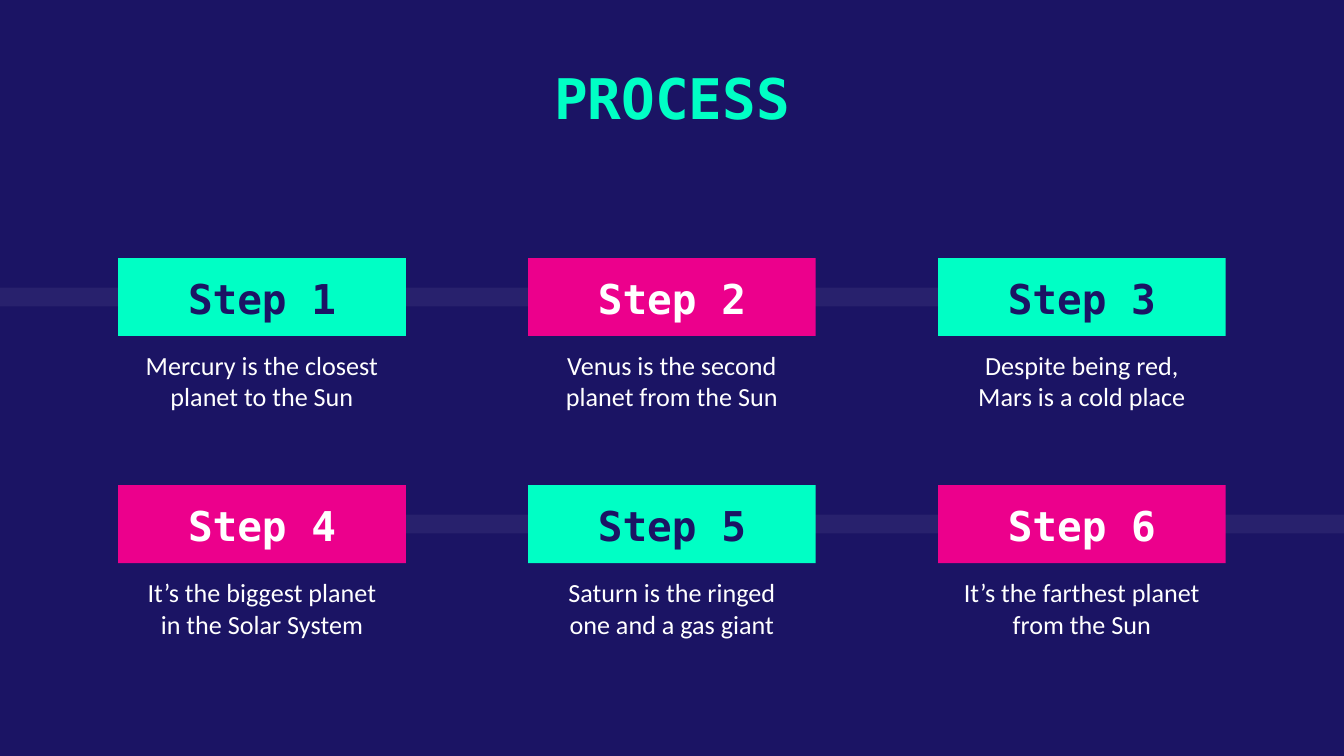
from lxml import etree
from pptx import Presentation
from pptx import util as u
from pptx.dml.color import RGBColor
from pptx.enum import shapes, text
from pptx.oxml import ns

NAVY = RGBColor(0x1B, 0x14, 0x64)
MINT = RGBColor(0x00, 0xFF, 0xC5)
PINK = RGBColor(0xEC, 0x00, 0x8C)
WHITE = RGBColor(0xFF, 0xFF, 0xFF)

WIDTH = 10
HEIGHT = WIDTH * 9 / 16
COLUMNS = 3
LEFT, COLUMN_PITCH = 0.88, 3.05
TOP, ROW_PITCH = 1.92, 1.69
STEP_WIDTH, STEP_HEIGHT = 2.14, 0.58
NOTE_WIDTH, NOTE_HEIGHT = 2.07, 0.73
BAND_OFFSET, BAND_HEIGHT = 0.22, 0.14

TITLE_FONT = {"name": "DejaVu Sans Mono", "size": u.Pt(30), "bold": True}
STEP_FONT = {"name": "DejaVu Sans Mono", "size": u.Pt(22), "bold": True}
NOTE_FONT = {"name": "Calibri", "size": u.Pt(14), "bold": False}

NOTES = [
    "Mercury is the closest planet to the Sun",
    "Venus is the second planet from the Sun",
    "Despite being red, Mars is a cold place",
    "It’s the biggest planet in the Solar System",
    "Saturn is the ringed one and a gas giant",
    "It’s the farthest planet from the Sun",
]
BANDS = [(0, 8.52), (1.02, WIDTH)]


def write(shape, wording, font_values, color, anchor):
    margin = u.Inches(0.1)
    frame_values = {
        "word_wrap": True,
        "auto_size": text.MSO_AUTO_SIZE.NONE,
        "vertical_anchor": anchor,
        "margin_left": margin,
        "margin_right": margin,
        "margin_top": margin,
        "margin_bottom": margin,
    }
    for name, value in frame_values.items():
        setattr(shape.text_frame, name, value)
    paragraph = shape.text_frame.paragraphs[0]
    paragraph.alignment = text.PP_ALIGN.CENTER
    run = paragraph.add_run()
    run.text = wording
    for name, value in font_values.items():
        setattr(run.font, name, value)
    run.font.color.rgb = color


def add_block(slide, box, color):
    shape = slide.shapes.add_shape(
        shapes.MSO_SHAPE.RECTANGLE, *[u.Inches(length) for length in box]
    )
    shape.shadow.inherit = False
    shape.fill.solid()
    shape.fill.fore_color.rgb = color
    shape.line.fill.background()
    return shape


presentation = Presentation()
presentation.slide_width = u.Inches(WIDTH)
presentation.slide_height = u.Inches(HEIGHT)
slide = presentation.slides.add_slide(presentation.slide_layouts[5])
slide.background.fill.solid()
slide.background.fill.fore_color.rgb = NAVY

title = slide.shapes.title
title_box = {"left": 0.14 * WIDTH, "top": 0.37, "width": 0.72 * WIDTH, "height": 0.73}
for name, value in title_box.items():
    setattr(title, name, u.Inches(value))
write(title, "PROCESS", TITLE_FONT, MINT, text.MSO_ANCHOR.TOP)

for row, (start, end) in enumerate(BANDS):
    band_top = TOP + row * ROW_PITCH + BAND_OFFSET
    band = add_block(slide, (start, band_top, end - start, BAND_HEIGHT), WHITE)
    band_color = band.fill._xPr.find(".//" + ns.qn("a:srgbClr"))
    etree.SubElement(band_color, ns.qn("a:alpha"), val="6000")

for index, note in enumerate(NOTES):
    row, column = divmod(index, COLUMNS)
    left = LEFT + column * COLUMN_PITCH
    top = TOP + row * ROW_PITCH
    fill, ink = (PINK, WHITE) if index % 2 else (MINT, NAVY)

    note_left = left + (STEP_WIDTH - NOTE_WIDTH) / 2
    note_box = (note_left, top + STEP_HEIGHT, NOTE_WIDTH, NOTE_HEIGHT)
    caption = slide.shapes.add_textbox(*[u.Inches(length) for length in note_box])
    write(caption, note, NOTE_FONT, WHITE, text.MSO_ANCHOR.TOP)

    step = add_block(slide, (left, top, STEP_WIDTH, STEP_HEIGHT), fill)
    write(step, f"Step {index + 1}", STEP_FONT, ink, text.MSO_ANCHOR.BOTTOM)

presentation.save("out.pptx")
